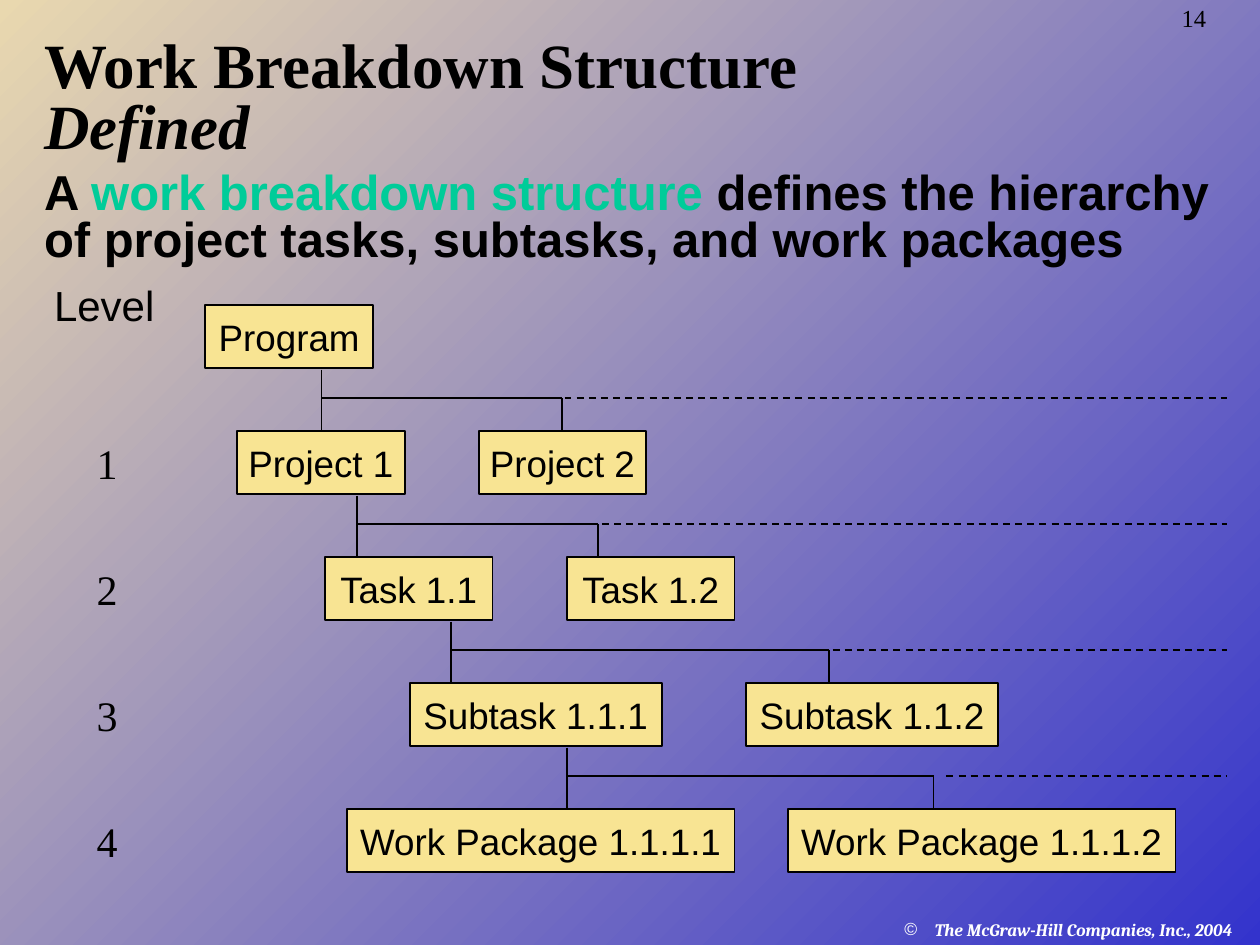
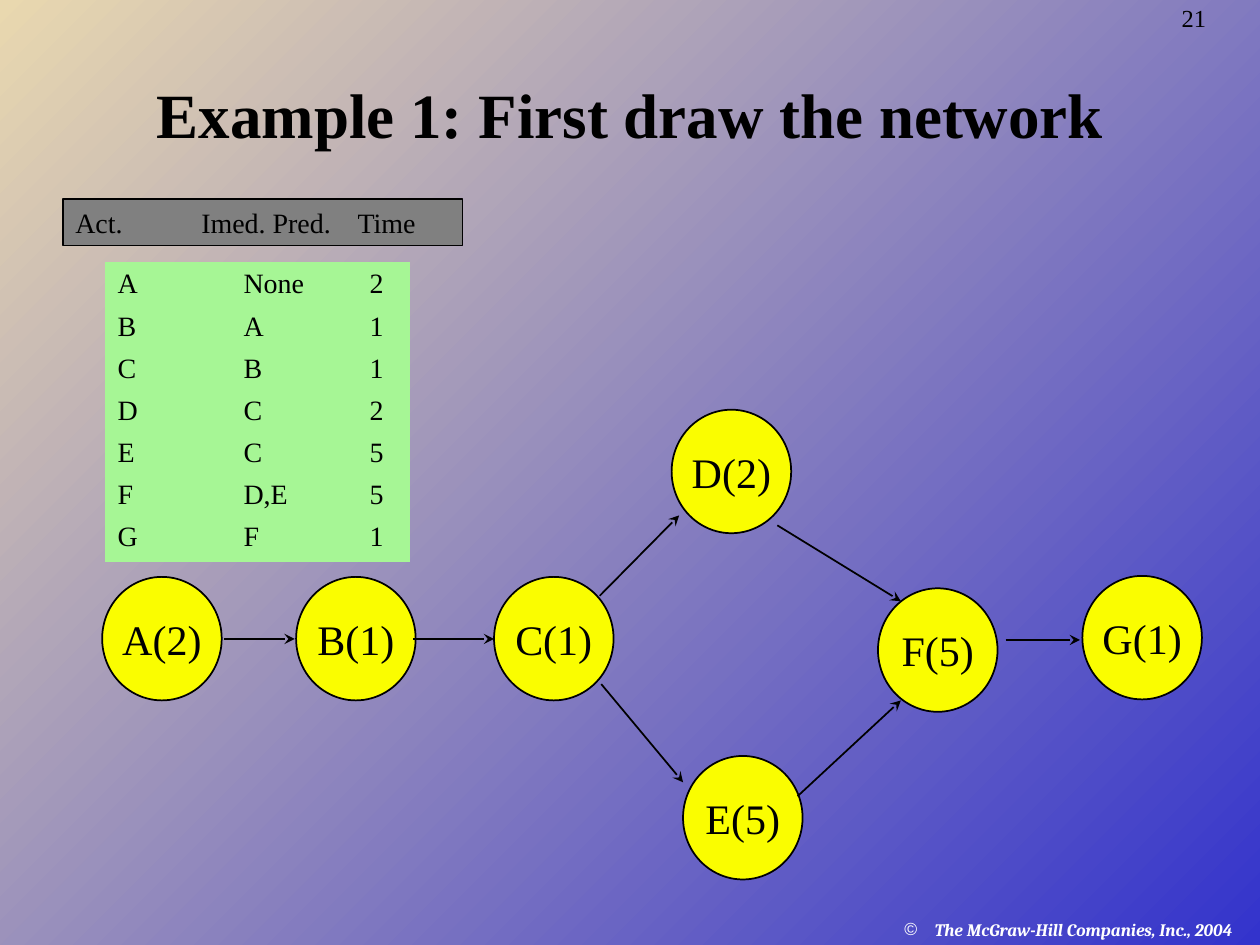
import lxml.etree
import pptx
import pptx.dml.color
import pptx.enum.dml
import pptx.enum.shapes
import pptx.enum.text
import pptx.oxml.ns
import pptx.util

Cm = pptx.util.Cm
RGB = pptx.dml.color.RGBColor
SHAPE = pptx.enum.shapes.MSO_SHAPE
ALIGN = pptx.enum.text.PP_ALIGN
ANCHOR = pptx.enum.text.MSO_ANCHOR

BLACK = RGB(0x00, 0x00, 0x00)
WHITE = RGB(0xFF, 0xFF, 0xFF)
BLUE = RGB(0x33, 0x33, 0xCC)
SAND = RGB(0xE9, 0xD8, 0xAF)
CREAM = RGB(0xF8, 0xE4, 0x93)
TEAL = RGB(0x00, 0xCC, 0x99)
YELLOW = RGB(0xFA, 0xFD, 0x00)
GREEN = RGB(0xA6, 0xF6, 0x95)
GREY = RGB(0x80, 0x80, 0x80)
SERIF = "Times New Roman"
SANS = "Arial"
PLAIN = "{2D5ABB26-0587-4C30-8999-92F81FD0307C}"

LEVELS = [
    ("Project", ("1", "2"), 3.38, (4.78, 9.65), 6.48, 11.33, 11.38),
    ("Task", ("1.1", "1.2"), 3.38, (6.55, 11.43), 7.19, 12.06, 11.89),
    ("Subtask", ("1.1.1", "1.1.2"), 5.08, (8.26, 15.04), 9.09, 16.71, 16.54),
    ("Work Package", ("1.1.1.1", "1.1.1.2"), 7.82, (6.99, 15.88), 11.43, 18.82, 19.08),
]
NODES = [
    ("A(2)", 2.06, 11.63), ("B(1)", 5.97, 11.63), ("C(1)", 9.96, 11.63),
    ("D(2)", 13.54, 8.26), ("E(5)", 13.77, 15.24), ("F(5)", 17.7, 11.86),
    ("G(1)", 21.82, 11.61),
]
ARROWS = [
    (4.52, 12.88, 5.94, 12.88), (8.33, 12.88, 9.96, 12.88),
    (12.09, 12.01, 13.69, 10.39), (12.12, 13.79, 13.77, 15.77),
    (15.67, 10.59, 18.16, 12.12), (16.08, 16.05, 18.16, 14.12),
    (20.27, 12.9, 21.77, 12.9),
]
TASKS = [
    ("A", "None", "2"), ("B", "A", "1"), ("C", "B", "1"), ("D", "C", "2"),
    ("E", "C", "5"), ("F", "D,E", "5"), ("G", "F", "1"),
]


def add_node(parent, tag, **attrs):
    return lxml.etree.SubElement(parent, pptx.oxml.ns.qn(tag), attrs)


def add_run(para, text, size, font=SERIF, color=BLACK, bold=False, italic=False):
    run = para.add_run()
    run.text = text
    run.font.size = pptx.util.Pt(size)
    run.font.name = font
    run.font.color.rgb = color
    run.font.bold = bold
    run.font.italic = italic


def set_frame(shape, anchor, wrap, align):
    frame = shape.text_frame
    frame.word_wrap = wrap
    frame.vertical_anchor = anchor
    frame.margin_left = frame.margin_right = Cm(0.25)
    frame.margin_top = frame.margin_bottom = Cm(0.13)
    para = frame.paragraphs[0]
    para.alignment = align
    return para


def add_text(slide, x, y, w, h, anchor=ANCHOR.TOP, wrap=True, align=ALIGN.LEFT):
    box = slide.shapes.add_textbox(Cm(x), Cm(y), Cm(w), Cm(h))
    return set_frame(box, anchor, wrap, align)


def add_box(slide, kind, x, y, w, h, fill, width=1, anchor=ANCHOR.MIDDLE,
            wrap=False, align=ALIGN.CENTER):
    box = slide.shapes.add_shape(kind, Cm(x), Cm(y), Cm(w), Cm(h))
    box.shadow.inherit = False
    box.fill.solid()
    box.fill.fore_color.rgb = fill
    box.line.color.rgb = BLACK
    box.line.width = pptx.util.Pt(width)
    return set_frame(box, anchor, wrap, align)


def add_line(slide, x1, y1, x2, y2, dash=False, arrow=False):
    link = slide.shapes.add_connector(
        pptx.enum.shapes.MSO_CONNECTOR.STRAIGHT, Cm(x1), Cm(y1), Cm(x2), Cm(y2))
    link.line.color.rgb = BLACK
    link.line.width = pptx.util.Pt(1)
    if dash:
        link.line.dash_style = pptx.enum.dml.MSO_LINE.DASH
    if arrow:
        add_node(link.line._get_or_add_ln(), "a:tailEnd", type="stealth")
    add_node(link._element.spPr, "a:effectLst")


def add_slide(deck, number):
    slide = deck.slides.add_slide(deck.slide_layouts[6])
    fill = slide.background.fill
    fill.gradient()
    fill.gradient_angle = 135
    for stop, color in zip(fill.gradient_stops, (BLUE, SAND)):
        stop.color.rgb = color

    para = add_text(slide, 17.98, 18.39, 7.42, 0.66)
    props = para._p.get_or_add_pPr()
    props.set("marL", str(Cm(0.61)))
    props.set("indent", str(Cm(-0.61)))
    add_node(add_node(props, "a:buClr"), "a:srgbClr", val=str(WHITE))
    add_node(props, "a:buFont", typeface=SANS)
    add_node(props, "a:buChar", char="©")
    add_run(para, "The McGraw-Hill Companies, Inc., 2004", 10, "Cambria", WHITE, True, True)

    para = add_text(slide, 23.57, 0, 1.83, 0.79)
    para.line_spacing = 0.9
    add_run(para, number, 14)
    return slide


def draw_levels(slide):
    para = add_box(slide, SHAPE.RECTANGLE, 4.14, 6.15, 3.38, 1.27, CREAM)
    add_run(para, "Program", 21, SANS)
    add_run(add_text(slide, 0.84, 5.51, 2.54, 1.27, wrap=False), "Level", 24, SANS)
    for rank, (name, codes, width, lefts, stem, drop, dash) in enumerate(LEVELS, 1):
        top = 6.15 + 2.54 * rank
        bar = top - 0.66
        para = add_text(slide, 1.7, top, 0.91, 1.27, wrap=False, align=ALIGN.CENTER)
        add_run(para, str(rank), 24)
        for code, left in zip(codes, lefts):
            para = add_box(slide, SHAPE.RECTANGLE, left, top, width, 1.27, CREAM)
            add_run(para, f"{name} {code}", 21, SANS)
        add_line(slide, stem, top - 1.24, stem, top - 0.03)
        add_line(slide, stem, bar, drop, bar)
        add_line(slide, drop, bar, drop, top - 0.03)
        add_line(slide, dash, bar, 24.74, bar, dash=True)


def draw_table(slide):
    para = add_box(slide, SHAPE.RECTANGLE, 1.27, 4.01, 8.05, 0.94, GREY, 0.75,
                   ANCHOR.TOP, True, ALIGN.LEFT)
    tabs = add_node(para._p.get_or_add_pPr(), "a:tabLst")
    for stop in (2.54, 5.69):
        add_node(tabs, "a:tab", pos=str(Cm(stop)), algn="l")
    add_run(para, "Act.\tImed. Pred.\tTime", 16)

    table = slide.shapes.add_table(
        len(TASKS), 3, Cm(2.12), Cm(5.29), Cm(6.14), Cm(6.02)).table
    table.first_row = table.horz_banding = False
    table._tbl.tblPr.find(pptx.oxml.ns.qn("a:tableStyleId")).text = PLAIN
    for column, width in zip(table.columns, (2.54, 2.54, 1.06)):
        column.width = Cm(width)
    for row, task in zip(table.rows, TASKS):
        row.height = Cm(0.85)
        for cell, text in zip(row.cells, task):
            cell.fill.solid()
            cell.fill.fore_color.rgb = GREEN
            cell.margin_left = Cm(0.25)
            cell.margin_right = cell.margin_bottom = Cm(0)
            cell.margin_top = Cm(0.13)
            add_run(cell.text_frame.paragraphs[0], text, 16)
    table.rows[len(TASKS) - 1].height = Cm(0.94)


def draw_graph(slide):
    for name, left, top in NODES:
        add_run(add_box(slide, SHAPE.OVAL, left, top, 2.41, 2.49, YELLOW), name, 24)
    for ends in ARROWS:
        add_line(slide, *ends, arrow=True)


def main():
    deck = pptx.Presentation()
    deck.slide_width = Cm(25.4)
    deck.slide_height = Cm(19.05)

    slide = add_slide(deck, "14")
    para = add_text(slide, 0.64, 0.64, 22.23, 2.74, ANCHOR.BOTTOM)
    para.line_spacing = 0.8
    add_run(para, "Work Breakdown Structure", 36, bold=True)
    para.add_line_break()
    add_run(para, "Defined", 36, bold=True, italic=True)
    para = add_text(slide, 0.64, 3.18, 24.13, 2.33, ANCHOR.BOTTOM)
    para.line_spacing = 0.8
    add_run(para, "A ", 28, SANS, bold=True)
    add_run(para, "work breakdown structure ", 28, SANS, TEAL, True)
    add_run(para, "defines the hierarchy of project tasks, subtasks, and work packages",
            28, SANS, bold=True)
    draw_levels(slide)

    slide = add_slide(deck, "21")
    para = add_text(slide, 1.91, 1.69, 21.59, 1.48, ANCHOR.BOTTOM, align=ALIGN.CENTER)
    add_run(para, "Example 1: First draw the network", 36, bold=True)
    draw_table(slide)
    draw_graph(slide)

    deck.save("out.pptx")


if __name__ == "__main__":
    main()
